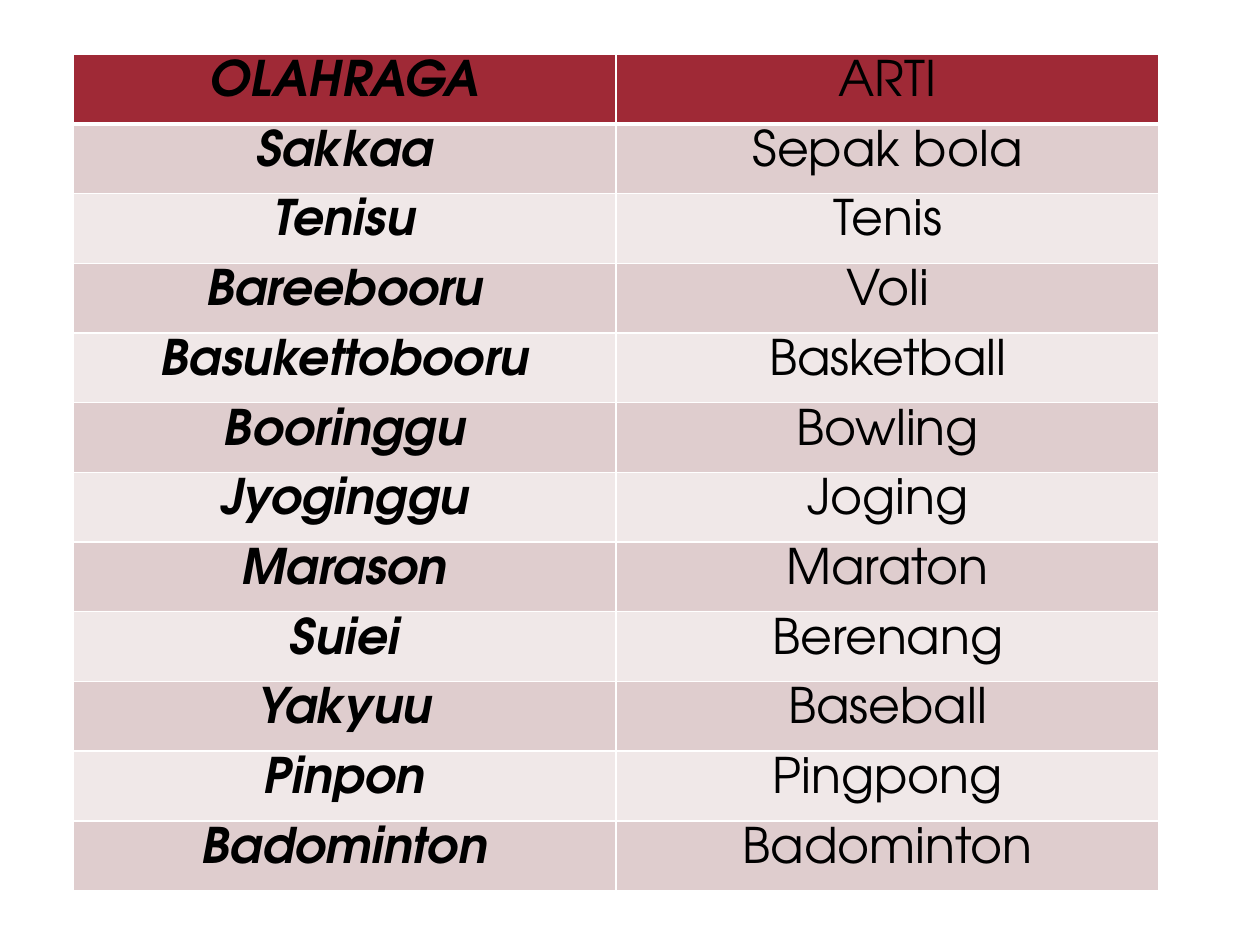
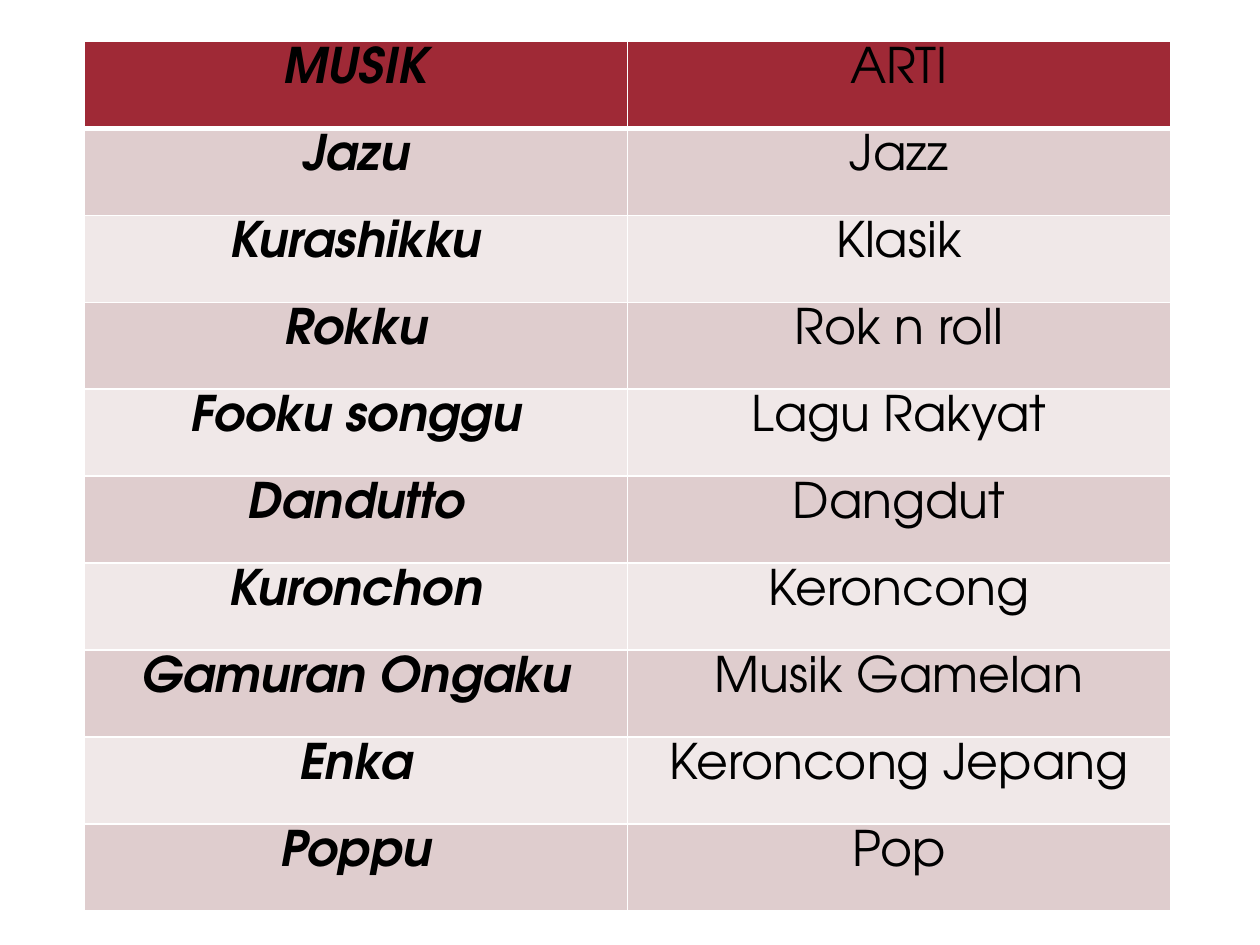
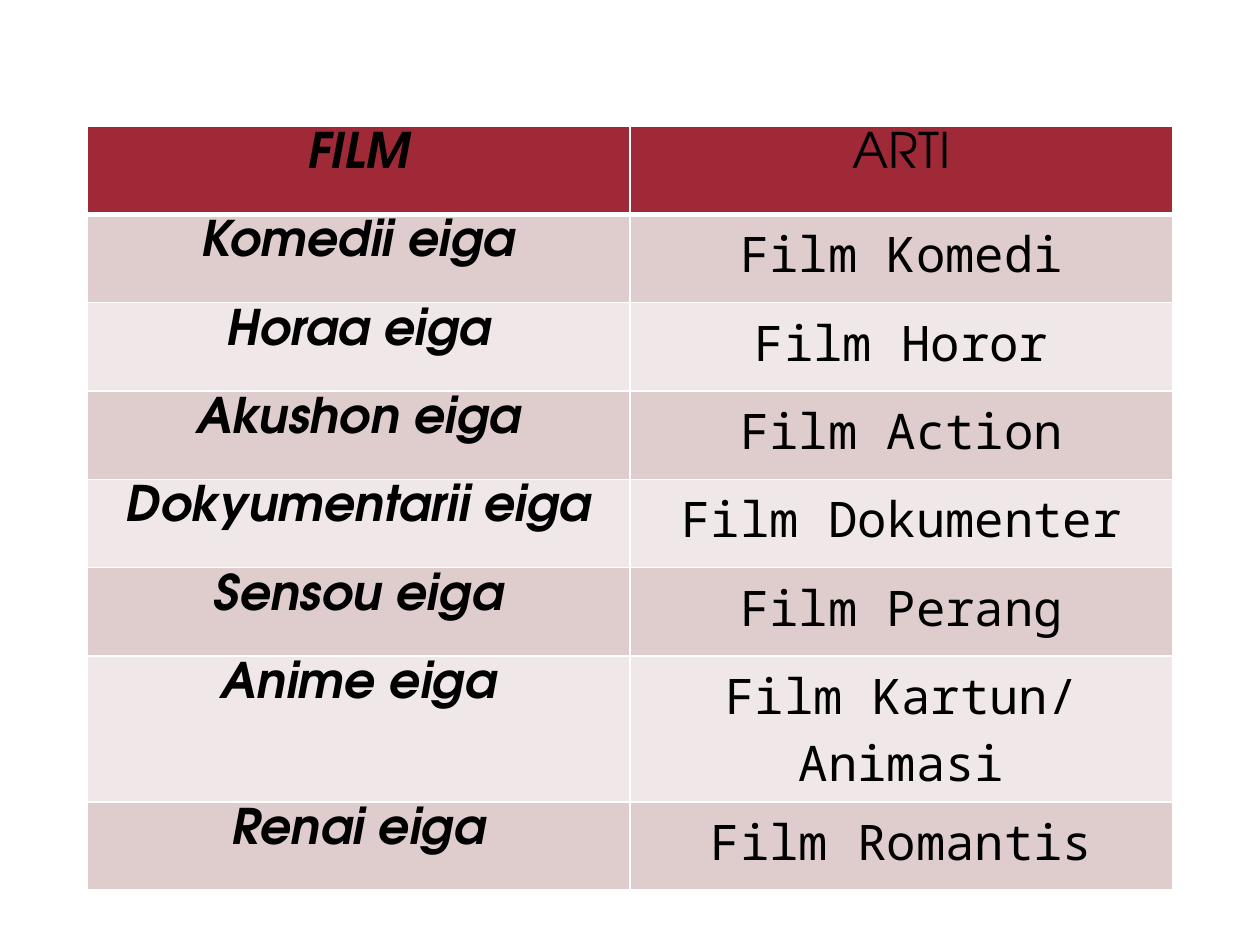
from pptx import Presentation
from pptx.dml.color import RGBColor
from pptx.enum.shapes import MSO_SHAPE as Preset
from pptx.enum.text import PP_ALIGN as Align
from pptx.oxml import parse_xml
from pptx.oxml.ns import nsdecls
from pptx.util import Inches, Pt

WHITE = RGBColor(0xFF, 0xFF, 0xFF)
BLACK = RGBColor(0x00, 0x00, 0x00)
CRIMSON = RGBColor(0x9F, 0x29, 0x36)
ROSE = RGBColor(0xDF, 0xCD, 0xCE)
PALE_ROSE = RGBColor(0xF0, 0xE8, 0xE8)

HEADING_FONT = "TeX Gyre Adventor"
MONO_FONT = "Noto Sans Mono"

SPORTS = [
    ("OLAHRAGA", "ARTI"),
    ("Sakkaa", "Sepak bola"),
    ("Tenisu", "Tenis"),
    ("Bareebooru", "Voli"),
    ("Basukettobooru", "Basketball"),
    ("Booringgu", "Bowling"),
    ("Jyoginggu", "Joging"),
    ("Marason", "Maraton"),
    ("Suiei", "Berenang"),
    ("Yakyuu", "Baseball"),
    ("Pinpon", "Pingpong"),
    ("Badominton", "Badominton"),
]

MUSIC = [
    ("MUSIK", "ARTI"),
    ("Jazu", "Jazz"),
    ("Kurashikku", "Klasik"),
    ("Rokku", "Rok n roll"),
    ("Fooku songgu", "Lagu Rakyat"),
    ("Dandutto", "Dangdut"),
    ("Kuronchon", "Keroncong"),
    ("Gamuran Ongaku", "Musik Gamelan"),
    ("Enka", "Keroncong Jepang"),
    ("Poppu", "Pop"),
]

FILMS = [
    ("FILM", "ARTI"),
    ("Komedii eiga", "Film Komedi"),
    ("Horaa eiga", "Film Horor"),
    ("Akushon eiga", "Film Action"),
    ("Dokyumentarii eiga", "Film Dokumenter"),
    ("Sensou eiga", "Film Perang"),
    ("Anime eiga", "Film Kartun/ Animasi"),
    ("Renai eiga", "Film Romantis"),
]


def write_text(text_frame, text, font=HEADING_FONT, size=28, color=BLACK,
               bold=False, italic=False, align=Align.CENTER):
    """Write one formatted paragraph into a text frame."""
    paragraph = text_frame.paragraphs[0]
    paragraph.alignment = align
    run = paragraph.add_run()
    run.text = text
    run.font.name = font
    run.font.size = Pt(size)
    run.font.color.rgb = color
    run.font.bold = bold
    run.font.italic = italic


class VocabularyDeck:
    """Hold the shared style and the slide being built."""

    column_width = 4.31

    def __init__(self):
        """Start an empty 10 by 7.5 inch presentation."""
        self.presentation = Presentation()
        self.presentation.slide_width = Inches(10)
        self.presentation.slide_height = Inches(7.5)
        self.slide = None

    def add_slide(self):
        """Add a blank slide with the rounded white panel."""
        self.slide = self.presentation.slides.add_slide(self.presentation.slide_layouts[6])
        panel = self.slide.shapes.add_shape(
            Preset.ROUNDED_RECTANGLE, Inches(0.1), Inches(0.11), Inches(9.8), Inches(7.29))
        panel.adjustments[0] = 0.02
        panel.shadow.inherit = False
        panel.fill.solid()
        panel.fill.fore_color.rgb = WHITE
        panel.line.fill.background()

    def style_cell(self, cell, fill, bottom_width):
        """Give a cell white borders and a solid fill."""
        properties = cell._tc.get_or_add_tcPr()
        for side, width in (("L", 1), ("R", 1), ("T", 1), ("B", bottom_width)):
            properties.append(parse_xml(
                f'<a:ln{side} {nsdecls("a")} w="{Pt(width)}"><a:solidFill>'
                f'<a:srgbClr val="{WHITE}"/></a:solidFill></a:ln{side}>'))
        cell.fill.solid()
        cell.fill.fore_color.rgb = fill

    def add_vocabulary(self, rows, left, top, height, meaning_font=HEADING_FONT):
        """Add a table of words and meanings with a header and banded rows."""
        table = self.slide.shapes.add_table(
            len(rows), 2, Inches(left), Inches(top),
            Inches(2 * self.column_width), Inches(height)).table
        for row_index, words in enumerate(rows):
            is_header = row_index == 0
            fill = CRIMSON if is_header else (PALE_ROSE, ROSE)[row_index % 2]
            for column_index, word in enumerate(words):
                is_term = column_index == 0
                cell = table.cell(row_index, column_index)
                self.style_cell(cell, fill, bottom_width=3 if is_header else 1)
                write_text(cell.text_frame, word, bold=is_term, italic=is_term,
                           font=HEADING_FONT if is_header or is_term else meaning_font)

    def save(self):
        """Save the presentation."""
        self.presentation.save("out.pptx")


def main():
    """Build the three vocabulary slides."""
    deck = VocabularyDeck()
    deck.add_slide()
    deck.add_vocabulary(SPORTS, left=0.58, top=0.43, height=6.64)
    deck.add_slide()
    deck.add_vocabulary(MUSIC, left=0.67, top=0.33, height=6.9)
    deck.add_slide()
    deck.add_vocabulary(FILMS, left=0.69, top=1, height=5.61, meaning_font=MONO_FONT)
    deck.save()


if __name__ == "__main__":
    main()
